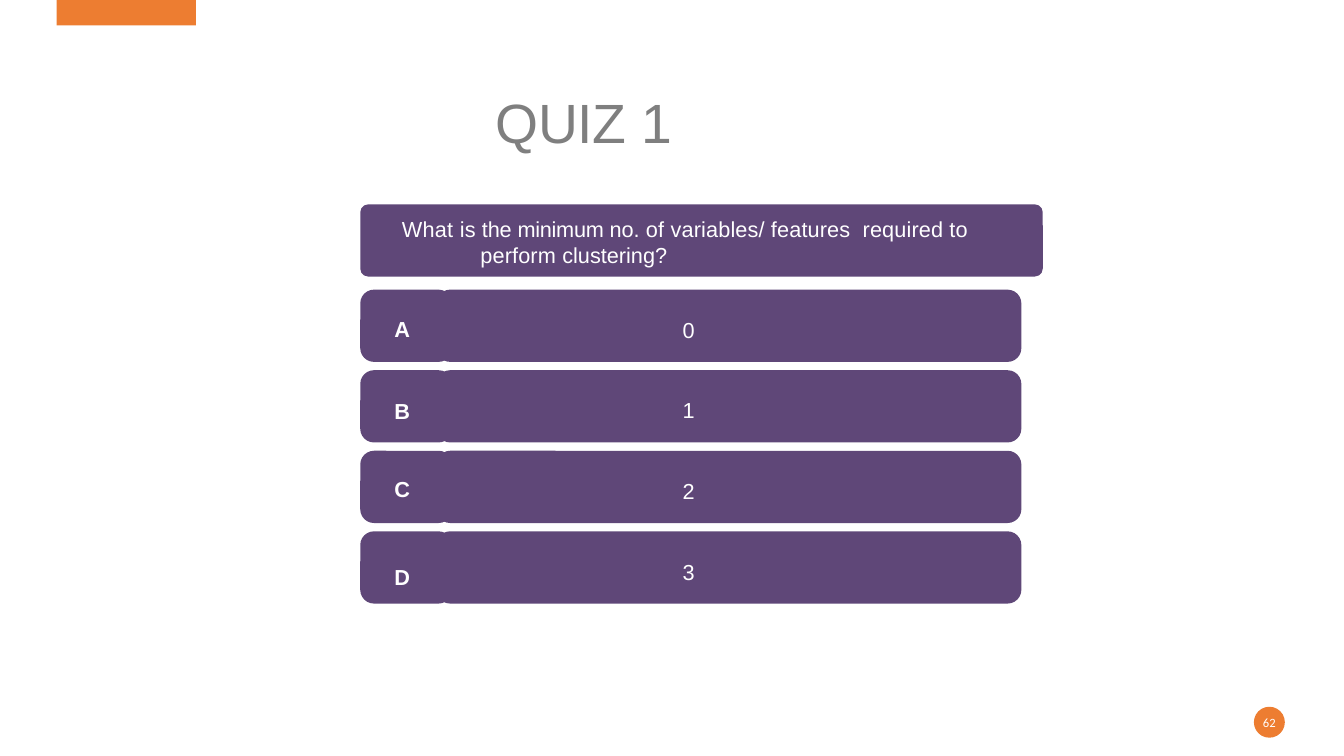
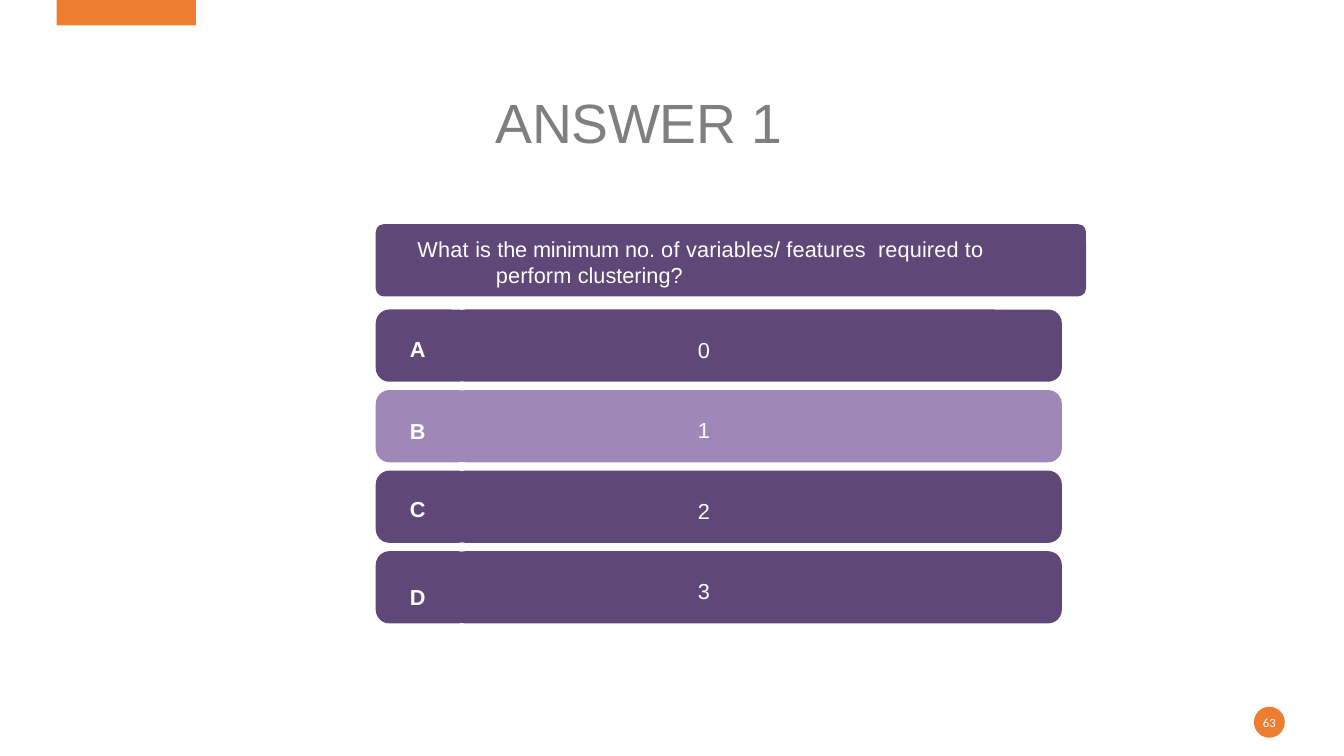
from pptx import Presentation
from pptx.dml.color import RGBColor
from pptx.enum.shapes import MSO_SHAPE as Preset
from pptx.enum.text import MSO_ANCHOR as Anchor, PP_ALIGN as Align
from pptx.util import Cm, Pt

ORANGE, PURPLE, LILAC = "ED7D31", "5F4778", "9F87B7"
GREY, WHITE = "7F7F7F", "FFFFFF"

# Each run is its text and its letter spacing in points.
QUESTION = [
    ("What ", 0.2), ("is ", 0.1), ("the ", -0.1), ("minimum ", -0.2),
    ("no. ", 0), ("of ", 0.2),
    ("variables/ features  required to perform ", 0.1), ("clustering?", 0),
]
# Letter, distance of the letter from the top of its tile, answer.
OPTIONS = [("A", 0.55, "0"), ("B", 0.6, "1"), ("C", 0.53, "2"), ("D", 0.71, "3")]

BAR_HEIGHT = 1.82
ROW_PITCH = 2.03
FIRST_ROW = 2.15
ANSWER_SHIFT = 1.92


def color(value):
    return RGBColor.from_string(value)


def set_insets(frame, left=0, top=0, right=0):
    frame.margin_left, frame.margin_top = Cm(left), Cm(top)
    frame.margin_right, frame.margin_bottom = Cm(right), Cm(0)


def add_runs(paragraph, runs, size, fill=WHITE, font="Arial", bold=False):
    for text, spacing in runs:
        run = paragraph.add_run()
        run.text = text
        run.font.name, run.font.size, run.font.bold = font, Pt(size), bold
        run.font.color.rgb = color(fill)
        run._r.get_or_add_rPr().set("spc", str(round(spacing * 100)))


def add_block(slide, preset, left, top, width, height, fill):
    shape = slide.shapes.add_shape(preset, Cm(left), Cm(top), Cm(width), Cm(height))
    shape.shadow.inherit = False
    shape.fill.solid()
    shape.fill.fore_color.rgb = color(fill)
    shape.line.fill.background()
    return shape


def add_bar(slide, left, top, width, runs, insets, fill=PURPLE, corner=0.19, bold=False):
    """Add a rounded bar with left-aligned text and return its paragraph."""
    bar = add_block(slide, Preset.ROUNDED_RECTANGLE, left, top, width, BAR_HEIGHT, fill)
    bar.adjustments[0] = corner
    frame = bar.text_frame
    frame.word_wrap = True
    frame.vertical_anchor = Anchor.TOP
    set_insets(frame, *insets)
    paragraph = frame.paragraphs[0]
    paragraph.alignment = Align.LEFT
    add_runs(paragraph, runs, 15.5, bold=bold)
    return paragraph


def add_question(slide, left, top, width):
    paragraph = add_bar(slide, left, top, width, QUESTION, (0.94, 0.23, 1.4), corner=0.11)
    paragraph.line_spacing = 1.01
    properties = paragraph._p.get_or_add_pPr()
    properties.set("marL", str(Cm(2.03)))
    properties.set("indent", str(Cm(-1.98)))


def add_options(slide, left, top, tile_width, answer_width, correct):
    for row, (letter, letter_top, answer) in enumerate(OPTIONS):
        row_top = top + row * ROW_PITCH
        fill = LILAC if letter == correct else PURPLE
        add_bar(slide, left, row_top, tile_width, [(letter, 0.1)],
                (0.76, letter_top), fill, bold=True)
        add_bar(slide, left + ANSWER_SHIFT, row_top, answer_width, [(answer, 0.1)],
                (6.1, 0.58), fill)


def add_title(slide, word):
    box = slide.shapes.add_textbox(Cm(12.5), Cm(2.15), Cm(8.9), Cm(1.74))
    frame = box.text_frame
    frame.word_wrap = True
    frame.vertical_anchor = Anchor.BOTTOM
    set_insets(frame)
    add_runs(frame.paragraphs[0], [(word + " ", -0.3), ("1", 0.1)], 39.5, GREY)


def add_page_marks(slide, number):
    """Add the band at the top and the round page number."""
    add_block(slide, Preset.RECTANGLE, 1.43, 0, 3.51, 0.64, ORANGE)
    badge = add_block(slide, Preset.OVAL, 31.6, 17.81, 0.78, 0.78, ORANGE)
    frame = badge.text_frame
    frame.word_wrap = False
    frame.vertical_anchor = Anchor.MIDDLE
    set_insets(frame)
    paragraph = frame.paragraphs[0]
    paragraph.alignment = Align.CENTER
    add_runs(paragraph, [(str(number), 0)], 9, font="Calibri")


def add_quiz_slide(presentation, number, title, left, top, widths, correct=None):
    question_width, tile_width, answer_width = widths
    slide = presentation.slides.add_slide(presentation.slide_layouts[6])
    add_page_marks(slide, number)
    add_title(slide, title)
    add_question(slide, left, top, question_width)
    add_options(slide, left, top + FIRST_ROW, tile_width, answer_width, correct)


def main():
    presentation = Presentation()
    presentation.slide_width, presentation.slide_height = Cm(33.87), Cm(19.05)
    add_quiz_slide(presentation, 62, "QUIZ", 9.08, 5.15, (17.2, 2.32, 14.74))
    add_quiz_slide(presentation, 63, "ANSWER", 9.47, 5.65, (17.9, 2.42, 15.37), "B")
    presentation.save("out.pptx")


if __name__ == "__main__":
    main()
